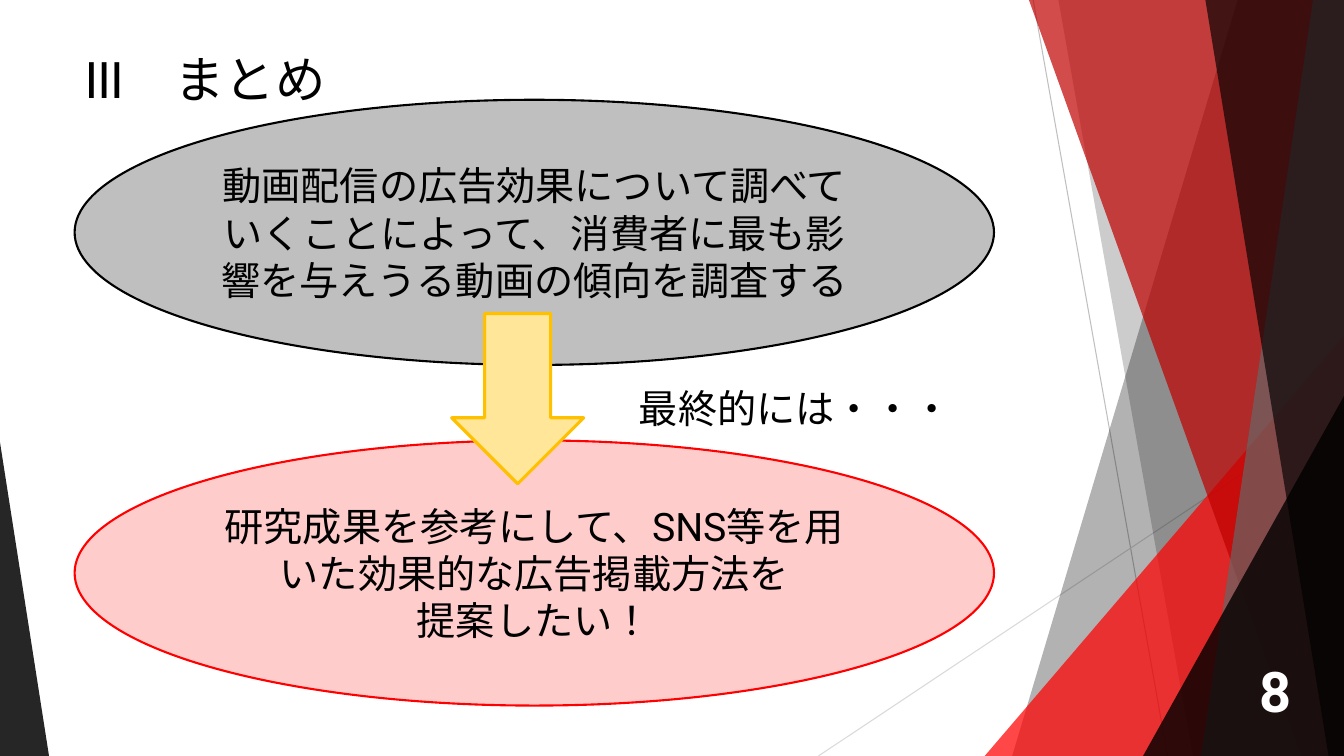
"""Build the summary slide: research aim, arrow and final goal."""
from lxml.etree import SubElement
from pptx import Presentation
from pptx.dml.color import RGBColor
from pptx.enum.shapes import MSO_CONNECTOR, MSO_SHAPE
from pptx.enum.text import MSO_ANCHOR, MSO_AUTO_SIZE, PP_ALIGN
from pptx.oxml.ns import qn
from pptx.util import Pt

BLACK = RGBColor(0x00, 0x00, 0x00)
WHITE = RGBColor(0xFF, 0xFF, 0xFF)
RED = RGBColor(0xFF, 0x00, 0x00)
DARK_RED = RGBColor(0xBF, 0x00, 0x00)
PINK = RGBColor(0xFF, 0xCC, 0xCC)
GREY = RGBColor(0xBF, 0xBF, 0xBF)
LIGHT_GREY = RGBColor(0xD9, 0xD9, 0xD9)
DARK_GREY = RGBColor(0x66, 0x66, 0x66)
GOLD = RGBColor(0xFF, 0xC0, 0x00)
PALE_GOLD = RGBColor(0xFF, 0xE6, 0x99)
WIDTH, HEIGHT = 960, 540


def paint(shape, fill, opacity=100, line=None, line_width=0):
    shape.shadow.inherit = False
    shape.fill.solid()
    shape.fill.fore_color.rgb = fill
    if opacity < 100:
        colour = shape.fill._xPr.find(qn("a:solidFill"))[0]
        SubElement(colour, qn("a:alpha"), val=str(opacity * 1000))
    if line is None:
        shape.line.fill.background()
    else:
        shape.line.color.rgb = line
        shape.line.width = Pt(line_width)


def write(frame, lines, size, align, colour=BLACK, bold=False):
    for index, line in enumerate(lines):
        paragraph = frame.add_paragraph() if index else frame.paragraphs[0]
        paragraph.alignment = align
        run = paragraph.add_run()
        run.text = line
        run.font.name = "Roboto"
        run.font.size = Pt(size)
        run.font.bold = bold
        run.font.color.rgb = colour
        properties = run.font._element
        properties.set("lang", "ja-JP")
        SubElement(properties, qn("a:ea"), typeface="Roboto")


presentation = Presentation()
presentation.slide_width, presentation.slide_height = Pt(WIDTH), Pt(HEIGHT)
slide = presentation.slides.add_slide(presentation.slide_layouts[5])
shapes = slide.shapes

rays = [(738, 0, 834, HEIGHT, GREY), (WIDTH, 290, 584.6, HEIGHT, LIGHT_GREY)]
for x1, y1, x2, y2, colour in rays:
    ray = shapes.add_connector(MSO_CONNECTOR.STRAIGHT, Pt(x1), Pt(y1), Pt(x2), Pt(y2))
    ray.line.color.rgb = colour
    ray.line.width = Pt(0.75)
    SubElement(ray._element.spPr, qn("a:effectLst"))

facets = [
    (884, 0, 723, BLACK, 30),
    (756, 0, 852, BLACK, 20),
    (WIDTH, 240, 703.4, RED, 72),
    (735, 0, 929.5, DARK_RED, 70),
    (938, 0, 858, DARK_GREY, 70),
    (861, 0, 949, BLACK, 65),
    (WIDTH, 283, 816.5, BLACK, 80),
]
for top_x, top_y, bottom_x, colour, opacity in facets:
    if top_x == WIDTH:
        facet = shapes.add_shape(
            MSO_SHAPE.ISOSCELES_TRIANGLE,
            Pt(bottom_x), Pt(top_y), Pt(WIDTH - bottom_x), Pt(HEIGHT - top_y))
        facet.adjustments[0] = 1
    else:
        outline = shapes.build_freeform(Pt(top_x), Pt(top_y))
        outline.add_line_segments([
            (Pt(WIDTH), Pt(top_y)), (Pt(WIDTH), Pt(HEIGHT)), (Pt(bottom_x), Pt(HEIGHT))])
        facet = outline.convert_to_shape()
    paint(facet, colour, opacity)

left_wedge = shapes.add_shape(MSO_SHAPE.ISOSCELES_TRIANGLE, Pt(0), Pt(316), Pt(35), Pt(224))
left_wedge.adjustments[0] = 0
paint(left_wedge, BLACK, 85)

title = shapes.title
title.left, title.top, title.width, title.height = Pt(53.3), Pt(28.8), Pt(677), Pt(54.7)
title.text_frame.vertical_anchor = MSO_ANCHOR.MIDDLE
write(title.text_frame, ["Ⅲ　まとめ"], 36, PP_ALIGN.LEFT)

statements = [
    (71.3, GREY, BLACK,
     ["動画配信の広告効果について調べていくことによって、消費者に最も影響を与えうる動画の傾向を調査する"]),
    (314.6, PINK, RED,
     ["研究成果を参考にして、SNS等を用いた効果的な広告掲載方法を", "提案したい！"]),
]
for top, fill, line, lines in statements:
    statement = shapes.add_shape(MSO_SHAPE.OVAL, Pt(53.3), Pt(top), Pt(656.7), Pt(189.4))
    paint(statement, fill, line=line, line_width=1.5)
    statement.text_frame.word_wrap = True
    statement.text_frame.vertical_anchor = MSO_ANCHOR.MIDDLE
    write(statement.text_frame, lines, 28, PP_ALIGN.CENTER)

arrow = shapes.add_shape(MSO_SHAPE.DOWN_ARROW, Pt(322.6), Pt(223.9), Pt(94.3), Pt(121.7))
paint(arrow, PALE_GOLD, line=GOLD, line_width=2.25)

labels = [
    (449.3, 270.7, 259.2, 41, "最終的には・・・", 28, PP_ALIGN.LEFT, BLACK, False),
    (887.8, 465.1, 46, 55.4, "8", 40, PP_ALIGN.CENTER, WHITE, True),
]
for left, top, width, height, text, size, align, colour, bold in labels:
    label = shapes.add_textbox(Pt(left), Pt(top), Pt(width), Pt(height))
    label.text_frame.word_wrap = True
    label.text_frame.auto_size = MSO_AUTO_SIZE.SHAPE_TO_FIT_TEXT
    write(label.text_frame, [text], size, align, colour, bold)

presentation.save("out.pptx")
